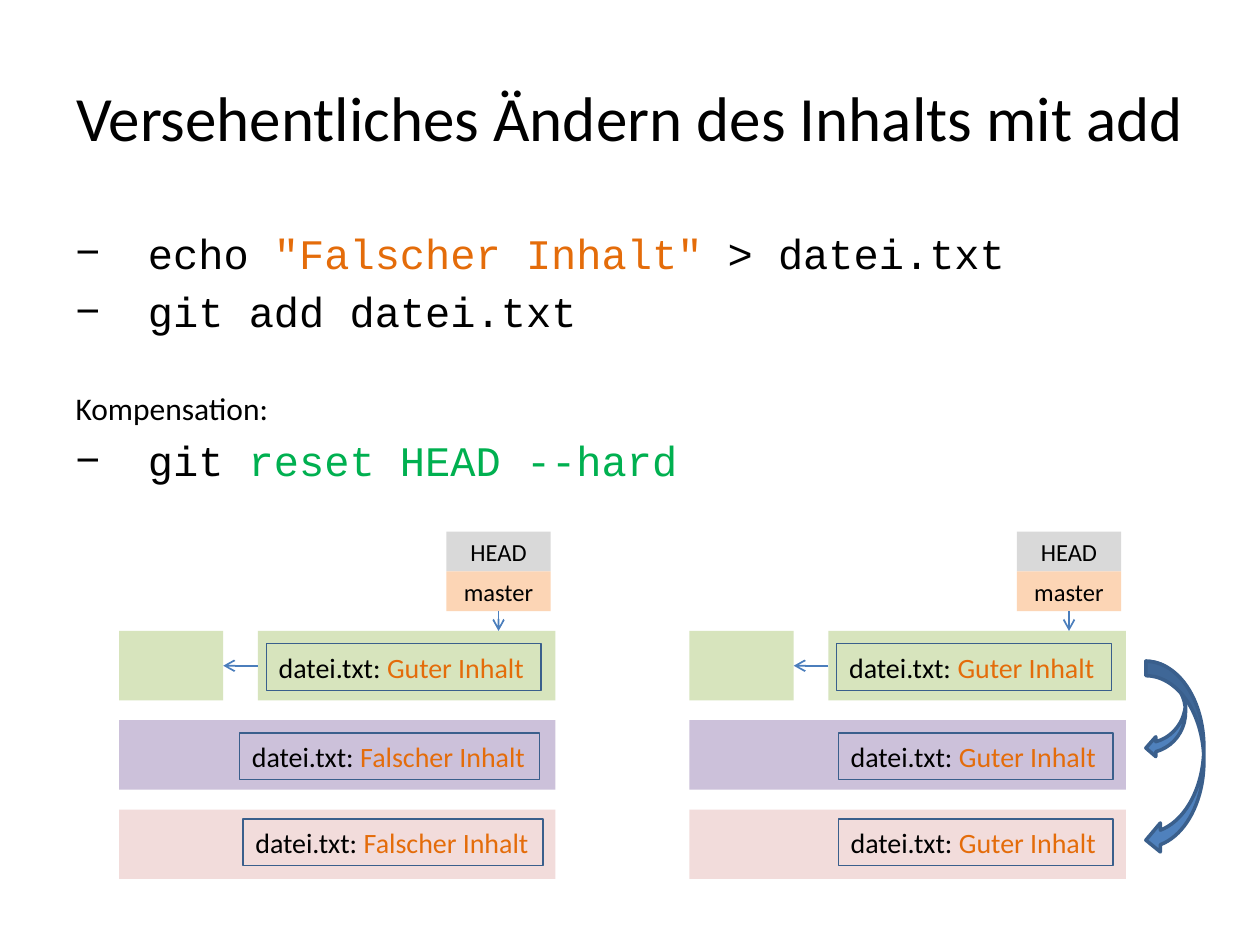
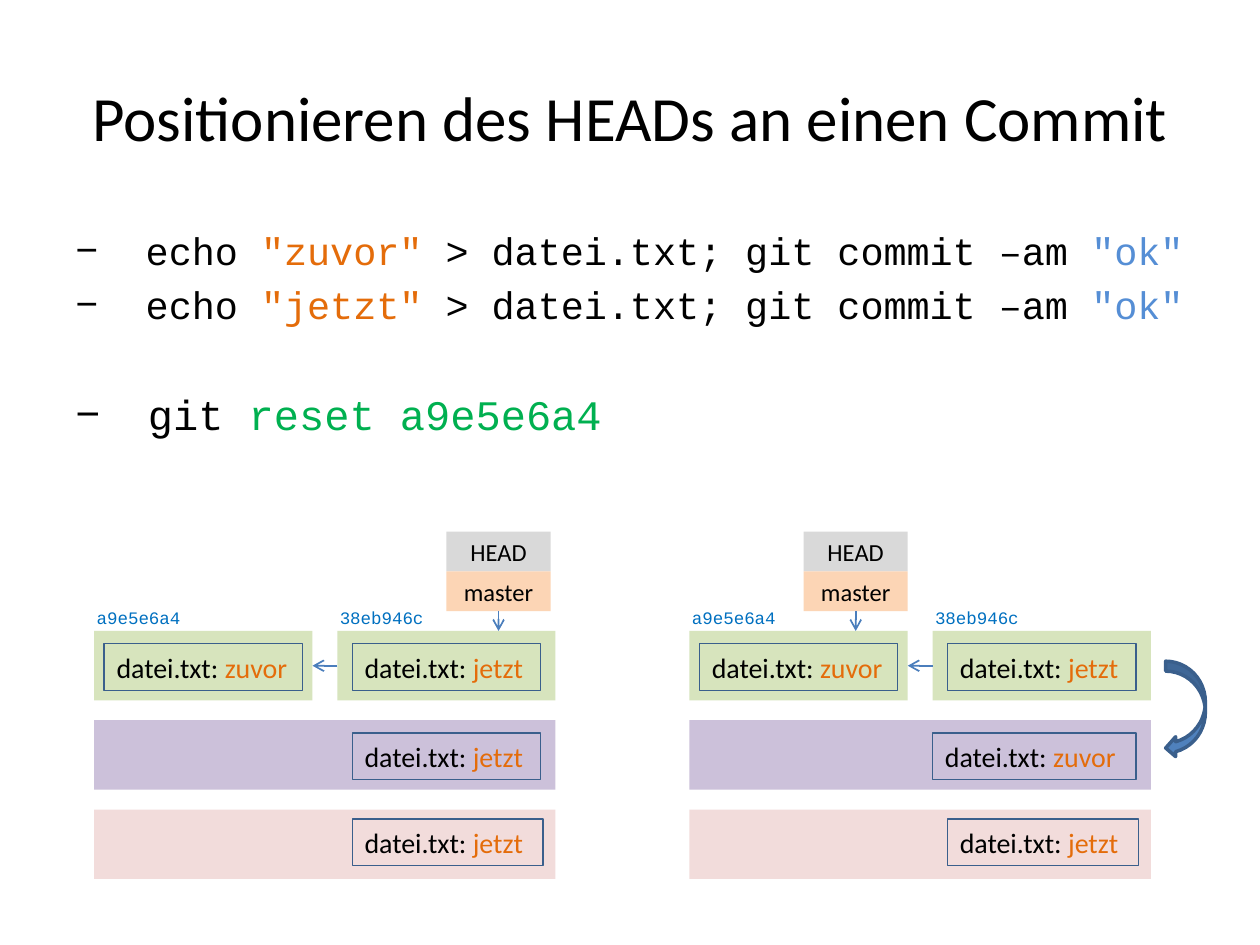
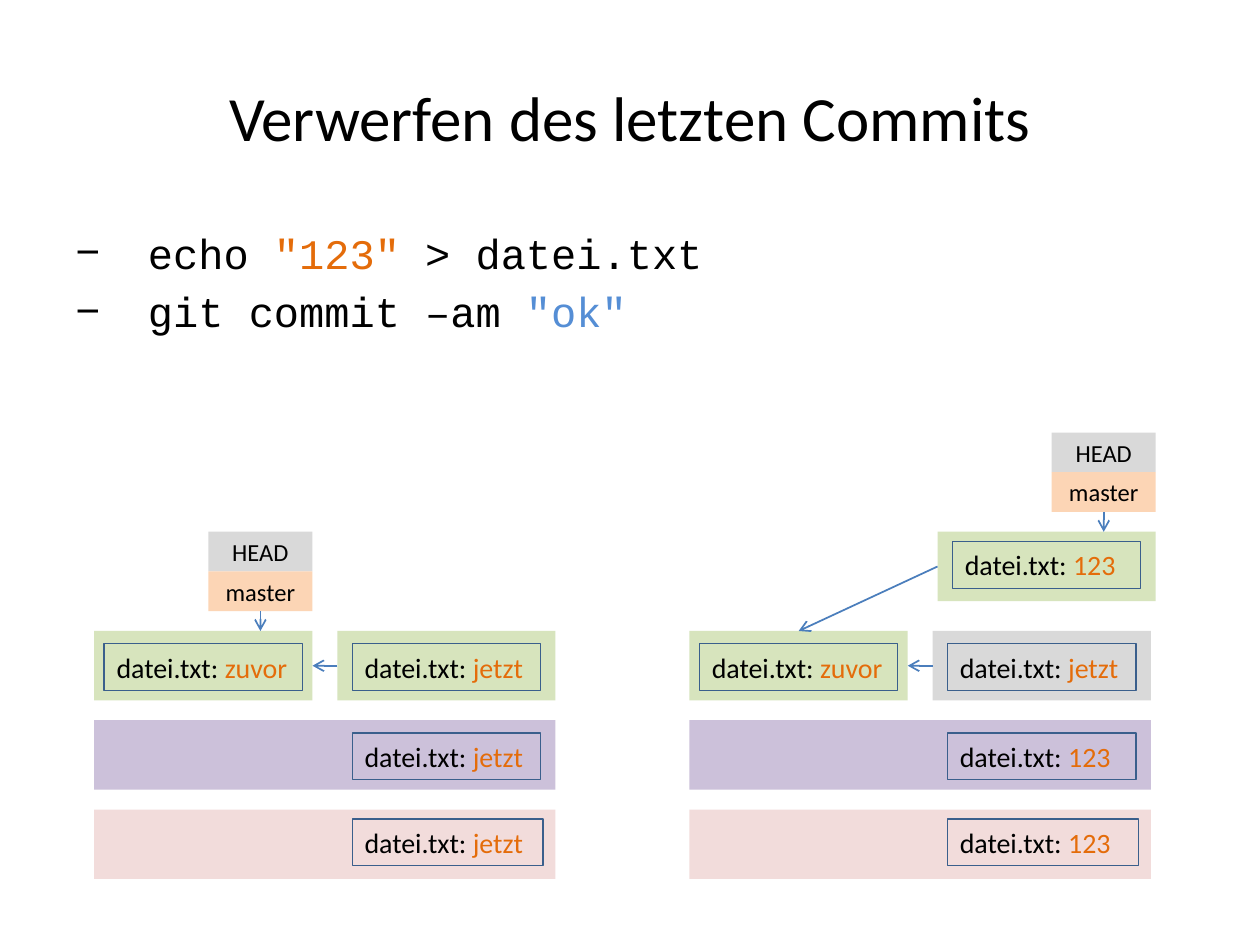
from dataclasses import dataclass

from lxml import etree
from pptx import Presentation
from pptx.dml.color import RGBColor
from pptx.enum.shapes import MSO_CONNECTOR, MSO_SHAPE
from pptx.enum.text import MSO_ANCHOR, MSO_AUTO_SIZE, PP_ALIGN
from pptx.oxml.ns import qn
from pptx.util import Cm, Pt

RECTANGLE = MSO_SHAPE.RECTANGLE
CURVED_ARROW = MSO_SHAPE.CURVED_LEFT_ARROW
STRAIGHT = MSO_CONNECTOR.STRAIGHT
LEFT, CENTER = PP_ALIGN.LEFT, PP_ALIGN.CENTER
TOP, MIDDLE = MSO_ANCHOR.TOP, MSO_ANCHOR.MIDDLE
FIT_SHAPE = MSO_AUTO_SIZE.SHAPE_TO_FIT_TEXT


@dataclass(frozen=True)
class Theme:
    sans: str = "Calibri"
    mono: str = "Courier New"
    ink: str = "000000"
    value: str = "E46C0A"
    reset: str = "00B050"
    message: str = "558ED5"
    hash: str = "0070C0"
    commit: str = "D7E4BD"
    discarded: str = "D9D9D9"
    index: str = "CCC1DA"
    worktree: str = "F2DCDB"
    head: str = "D9D9D9"
    branch: str = "FCD5B5"
    arrow: str = "4F81BD"
    outline: str = "3A5F8C"
    connector: str = "4B7EBC"
    title_size: int = 36
    code_size: int = 24
    small_code_size: int = 22
    note_size: int = 18
    file_size: int = 16
    label_size: int = 14
    hash_size: int = 10


THEME = Theme()

# Diagram grid in centimetres: three lanes of equal height and gap
LANE_TOP, LANE_HEIGHT, LANE_PITCH = 12.72, 1.4, 1.8
LABEL_WIDTH, LABEL_HEIGHT, POINTER_HEIGHT = 2.1, 0.8, 2.0
FRAME_HEIGHT = 0.94
FRAME_OFFSETS = (0.26, 0.26, 0.19)
RIGHT_PANEL = 13.9
COMMITS_SHORT_LONG = ((0, 2.1), (2.8, 6.0))
COMMITS_EQUAL = ((0, 4.4), (4.9, 4.4))


# Text
def color(code):
    return RGBColor.from_string(code)


def style_paragraph(paragraph, size, font=THEME.sans, ink=THEME.ink, align=LEFT):
    paragraph.alignment = align
    paragraph.font.size = Pt(size)
    paragraph.font.name = font
    paragraph.font.color.rgb = color(ink)


def add_runs(paragraph, segments):
    """Each segment is a plain text or a pair of text and colour."""
    for segment in segments:
        text, ink = (segment, None) if isinstance(segment, str) else segment
        run = paragraph.add_run()
        run.text = text
        if ink:
            run.font.color.rgb = color(ink)


def set_bullet(paragraph, character=None):
    properties = paragraph._p.get_or_add_pPr()
    indent = Cm(0.95) if character else 0
    properties.set("marL", str(indent))
    properties.set("indent", str(-indent))
    if character:
        etree.SubElement(properties, qn("a:buChar")).set("char", character)
    else:
        etree.SubElement(properties, qn("a:buNone"))


def code(*segments, size=THEME.code_size, gap=None):
    return dict(segments=segments, size=size, font=THEME.mono, bullet="−", gap=gap)


def note(text, gap):
    return dict(segments=(text,), size=THEME.note_size, font=THEME.sans,
                bullet=None, gap=gap)


def place(shape, left, top, width, height):
    shape.left, shape.top = Cm(left), Cm(top)
    shape.width, shape.height = Cm(width), Cm(height)


def add_slide(presentation, title_text, lines):
    slide = presentation.slides.add_slide(presentation.slide_layouts[1])
    title, body = slide.placeholders
    place(title, 1.27, 0.76, 22.86, 3.18)
    title.text_frame.text = title_text
    title.text_frame.vertical_anchor = MIDDLE
    style_paragraph(title.text_frame.paragraphs[0], THEME.title_size, align=CENTER)

    place(body, 1.27, 4.45, 22.86, 13.86)
    frame = body.text_frame
    for number, line in enumerate(lines):
        paragraph = frame.add_paragraph() if number else frame.paragraphs[0]
        style_paragraph(paragraph, line["size"], line["font"])
        if line["gap"]:
            paragraph.space_before = Pt(line["gap"])
        set_bullet(paragraph, line["bullet"])
        add_runs(paragraph, line["segments"])
    return slide


# Shapes
def add_shape(shapes, kind, left, top, width, height, fill=None, line=None, weight=1.0):
    shape = shapes.add_shape(kind, Cm(left), Cm(top), Cm(width), Cm(height))
    shape.shadow.inherit = False
    if fill:
        shape.fill.solid()
        shape.fill.fore_color.rgb = color(fill)
    else:
        shape.fill.background()
    if line:
        shape.line.color.rgb = color(line)
        shape.line.width = Pt(weight)
    else:
        shape.line.fill.background()
    return shape


def add_arrow(slide, start, end):
    connector = slide.shapes.add_connector(STRAIGHT, *map(Cm, start + end))
    connector.line.color.rgb = color(THEME.connector)
    connector.line.width = Pt(1)
    tail = etree.SubElement(connector.line._get_or_add_ln(), qn("a:tailEnd"))
    tail.set("type", "arrow")
    etree.SubElement(connector._element.spPr, qn("a:effectLst"))


def add_file(slide, left, top, width, content):
    frame = add_shape(slide.shapes, RECTANGLE, left, top, width, FRAME_HEIGHT,
                      line=THEME.outline, weight=0.75).text_frame
    frame.auto_size = FIT_SHAPE
    frame.vertical_anchor = TOP
    style_paragraph(frame.paragraphs[0], THEME.file_size)
    add_runs(frame.paragraphs[0], ("datei.txt: ", (content, THEME.value)))


def add_pointer(slide, left, commit_top):
    """HEAD and master stacked above a commit, with an arrow down to it."""
    top = commit_top - POINTER_HEIGHT
    for text, fill in (("HEAD", THEME.head), ("master", THEME.branch)):
        label = add_shape(slide.shapes, RECTANGLE, left, top, LABEL_WIDTH,
                          LABEL_HEIGHT, fill=fill)
        label.text_frame.vertical_anchor = MIDDLE
        label.text_frame.text = text
        style_paragraph(label.text_frame.paragraphs[0], THEME.label_size, align=CENTER)
        top += LABEL_HEIGHT
    middle = left + LABEL_WIDTH / 2
    add_arrow(slide, (middle, top), (middle, commit_top))


def add_hash(slide, left, text):
    box = slide.shapes.add_textbox(Cm(left), Cm(12.12), Cm(2.2), Cm(0.68))
    box.text_frame.word_wrap = True
    box.text_frame.auto_size = FIT_SHAPE
    box.text_frame.text = text
    style_paragraph(box.text_frame.paragraphs[0], THEME.hash_size, THEME.mono, THEME.hash)


def add_curved_arrow(slide, left, width, height):
    add_shape(slide.shapes, CURVED_ARROW, left, 13.33, width, height,
              THEME.arrow, THEME.outline, 2)


def add_panel(slide, left, commits, files, pointer=None, hashes=(),
              last_commit=THEME.commit):
    """Lanes for commits, index and working tree.

    files holds (lane, offset, width, content); offsets count from left.
    """
    (_, first_width), (last_offset, last_width) = commits
    lanes = slide.shapes.add_group_shape().shapes
    for lane, fill in ((2, THEME.worktree), (1, THEME.index)):
        add_shape(lanes, RECTANGLE, left, LANE_TOP + lane * LANE_PITCH,
                  last_offset + last_width, LANE_HEIGHT, fill)
    for (offset, width), fill in zip(commits, (THEME.commit, last_commit)):
        add_shape(lanes, RECTANGLE, left + offset, LANE_TOP, width, LANE_HEIGHT, fill)

    if pointer is not None:
        add_pointer(slide, left + pointer, LANE_TOP)
    middle = LANE_TOP + LANE_HEIGHT / 2
    add_arrow(slide, (left + last_offset, middle), (left + first_width, middle))
    for lane, offset, width, content in files:
        top = LANE_TOP + lane * LANE_PITCH + FRAME_OFFSETS[lane]
        add_file(slide, left + offset, top, width, content)
    for (offset, _), text in zip(commits, hashes):
        add_hash(slide, left + offset - 0.2, text)


def two_commit_files(index, worktree):
    """Files of a panel whose two commits hold zuvor and jetzt."""
    index_offset, index_width = (4.9, 4.1) if index == "zuvor" else (5.2, 3.8)
    return ((0, 5.2, 3.8, "jetzt"), (1, index_offset, index_width, index),
            (2, 5.2, 3.85, worktree), (0, 0.2, 4.0, "zuvor"))


# Slides
def build_undo_add(presentation):
    slide = add_slide(presentation, "Versehentliches Ändern des Inhalts mit add", (
        code(" echo ", ('"Falscher Inhalt"', THEME.value), " > datei.txt"),
        code(" git add datei.txt"),
        note("Kompensation:", gap=30),
        code(" git ", ("reset HEAD --hard", THEME.reset)),
    ))
    good, wrong = "Guter Inhalt", "Falscher Inhalt"
    add_panel(slide, 2.4, COMMITS_SHORT_LONG, pointer=6.6, files=(
        (0, 2.97, 5.54, good), (1, 2.43, 6.05, wrong), (2, 2.5, 6.05, wrong)))
    add_panel(slide, RIGHT_PANEL, COMMITS_SHORT_LONG, pointer=6.6, files=(
        (0, 2.97, 5.54, good), (1, 3.0, 5.54, good), (2, 3.0, 5.54, good)))
    add_curved_arrow(slide, 23.1, 0.8, 1.95)
    add_curved_arrow(slide, 23.1, 1.17, 3.9)


def build_move_head(presentation):
    def commit_line(content):
        return code(" echo ", (f'"{content}"', THEME.value),
                    " > datei.txt; git commit –am ", ('"ok"', THEME.message),
                    size=THEME.small_code_size)

    slide = add_slide(presentation, "Positionieren des HEADs an einen Commit", (
        commit_line("zuvor"),
        commit_line("jetzt"),
        code(" git ", ("reset a9e5e6a4", THEME.reset), gap=35),
    ))
    hashes = ("a9e5e6a4", "38eb946c")
    add_panel(slide, 1.9, COMMITS_EQUAL, two_commit_files("jetzt", "jetzt"), 7.1, hashes)
    add_panel(slide, RIGHT_PANEL, COMMITS_EQUAL, two_commit_files("zuvor", "jetzt"),
              2.3, hashes)
    add_curved_arrow(slide, 23.5, 0.8, 1.95)


def build_discard_commit(presentation):
    slide = add_slide(presentation, "Verwerfen des letzten Commits", (
        code(" echo ", ('"123"', THEME.value), " > datei.txt"),
        code(" git commit –am ", ('"ok"', THEME.message)),
    ))
    add_panel(slide, 1.9, COMMITS_EQUAL, two_commit_files("jetzt", "jetzt"), 2.3)
    add_panel(slide, RIGHT_PANEL, COMMITS_EQUAL, two_commit_files("123", "123"),
              last_commit=THEME.discarded)
    # New commit that branches off the first one
    left, top = 18.9, LANE_TOP - POINTER_HEIGHT
    add_shape(slide.shapes, RECTANGLE, left, top, 4.4, LANE_HEIGHT, THEME.commit)
    add_file(slide, left + 0.3, top + 0.2, 3.8, "123")
    add_pointer(slide, left + 2.3, top)
    add_arrow(slide, (left, top + LANE_HEIGHT / 2), (RIGHT_PANEL + 2.2, LANE_TOP))


def main():
    presentation = Presentation()
    presentation.slide_width, presentation.slide_height = Cm(25.4), Cm(19.05)
    build_undo_add(presentation)
    build_move_head(presentation)
    build_discard_commit(presentation)
    presentation.save("out.pptx")


main()
